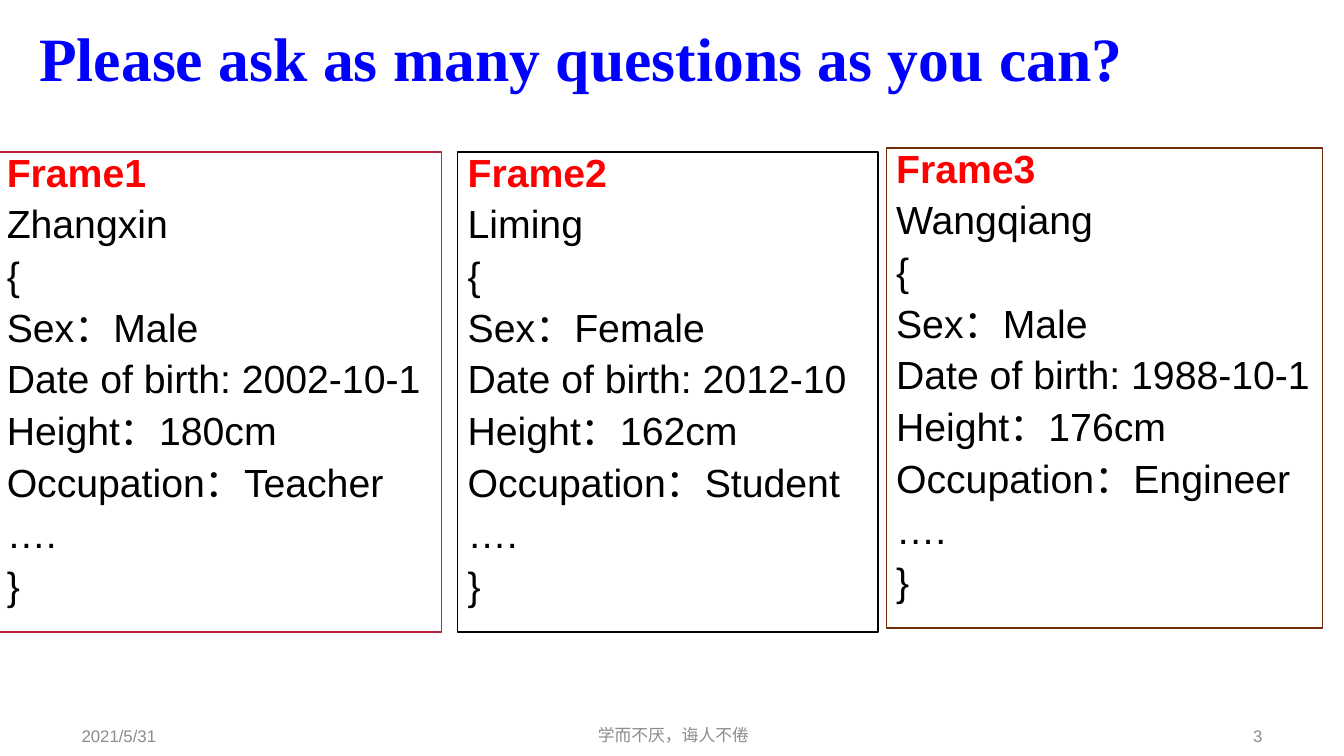
from pptx import Presentation
from pptx.dml.color import RGBColor
from pptx.enum.shapes import MSO_SHAPE
from pptx.enum.text import MSO_ANCHOR, PP_ALIGN
from pptx.util import Inches, Pt

THEME = {
    "title": {"name": "Times New Roman", "size": Pt(44), "bold": True, "color": "0000FF"},
    "heading": {"name": "Arial", "size": Pt(28), "bold": True, "color": "FF0000"},
    "slot": {"name": "Arial", "size": Pt(28), "bold": False, "color": "000000"},
    "footer": {"name": "Arial", "size": Pt(12), "bold": False, "color": "8C8C8C"},
    "panel": "FFFFFF",
}
HANGING = {"marL": Inches(0.25), "indent": -Inches(0.25)}

deck = Presentation()
deck.slide_width, deck.slide_height = Inches(13.33), Inches(7.5)
slide = deck.slides.add_slide(deck.slide_layouts[6])


def share(left, top, width, height):
    """Turn percentages of the slide's size into lengths."""
    across, down = deck.slide_width / 100, deck.slide_height / 100
    return int(left * across), int(top * down), int(width * across), int(height * down)


def write(paragraph, text, style, **layout):
    for attribute, value in layout.items():
        setattr(paragraph, attribute, value)
    run = paragraph.add_run()
    run.text = text
    for attribute, value in THEME[style].items():
        if attribute == "color":
            run.font.color.rgb = RGBColor.from_string(value)
        else:
            setattr(run.font, attribute, value)


# Title and footer: text, style, alignment, place in percent
captions = [
    ("Please ask as many questions as you can?", "title", PP_ALIGN.LEFT,
     (2.18, -1.47, 91, 19.33)),
    ("2021/5/31", "footer", PP_ALIGN.LEFT, (5.33, 94.67, 22.5, 5.33)),
    ("学而不厌，诲人不倦", "footer", PP_ALIGN.CENTER, (33.23, 94.53, 33.75, 5.33)),
    ("3", "footer", PP_ALIGN.RIGHT, (72.17, 94.67, 22.5, 5.33)),
]
for text, style, alignment, place in captions:
    caption = slide.shapes.add_textbox(*share(*place)).text_frame
    caption.word_wrap = True
    caption.vertical_anchor = MSO_ANCHOR.MIDDLE
    write(caption.paragraphs[0], text, style, alignment=alignment,
          line_spacing=0.9 if style == "title" else 1.0)

# Frames: left, top, width in percent, border, then the slot values
frames = [
    (-0.23, 20.13, 33.08, "B8243D", "Zhangxin", "Male", "2002-10-1", "180cm", "Teacher"),
    (34.06, 20.13, 31.28, "000000", "Liming", "Female", "2012-10", "162cm", "Student"),
    (65.94, 19.6, 32.48, "702C07", "Wangqiang", "Male", "1988-10-1", "176cm", "Engineer"),
]
for number, frame in enumerate(frames, start=1):
    left, top, width, border, person, sex, birth, height, occupation = frame
    panel = slide.shapes.add_shape(MSO_SHAPE.RECTANGLE, *share(left, top, width, 63.47))
    panel.shadow.inherit = False
    panel.fill.solid()
    panel.fill.fore_color.rgb = RGBColor.from_string(THEME["panel"])
    panel.line.color.rgb = RGBColor.from_string(border)
    panel.line.width = Pt(1)

    body = panel.text_frame
    body.word_wrap = True
    body.vertical_anchor = MSO_ANCHOR.TOP
    lines = [
        f"Frame{number}", person, "{", f"Sex：{sex}", f"Date of birth: {birth}",
        f"Height：{height}", f"Occupation：{occupation}", "….", "}",
    ]
    for row, line in enumerate(lines):
        paragraph = body.add_paragraph() if row else body.paragraphs[0]
        properties = paragraph._p.get_or_add_pPr()
        for attribute, value in HANGING.items():
            properties.set(attribute, str(value))
        write(paragraph, line, "slot" if row else "heading", alignment=PP_ALIGN.LEFT,
              line_spacing=0.8, space_before=Pt(10 if row else 0))

deck.save("out.pptx")
